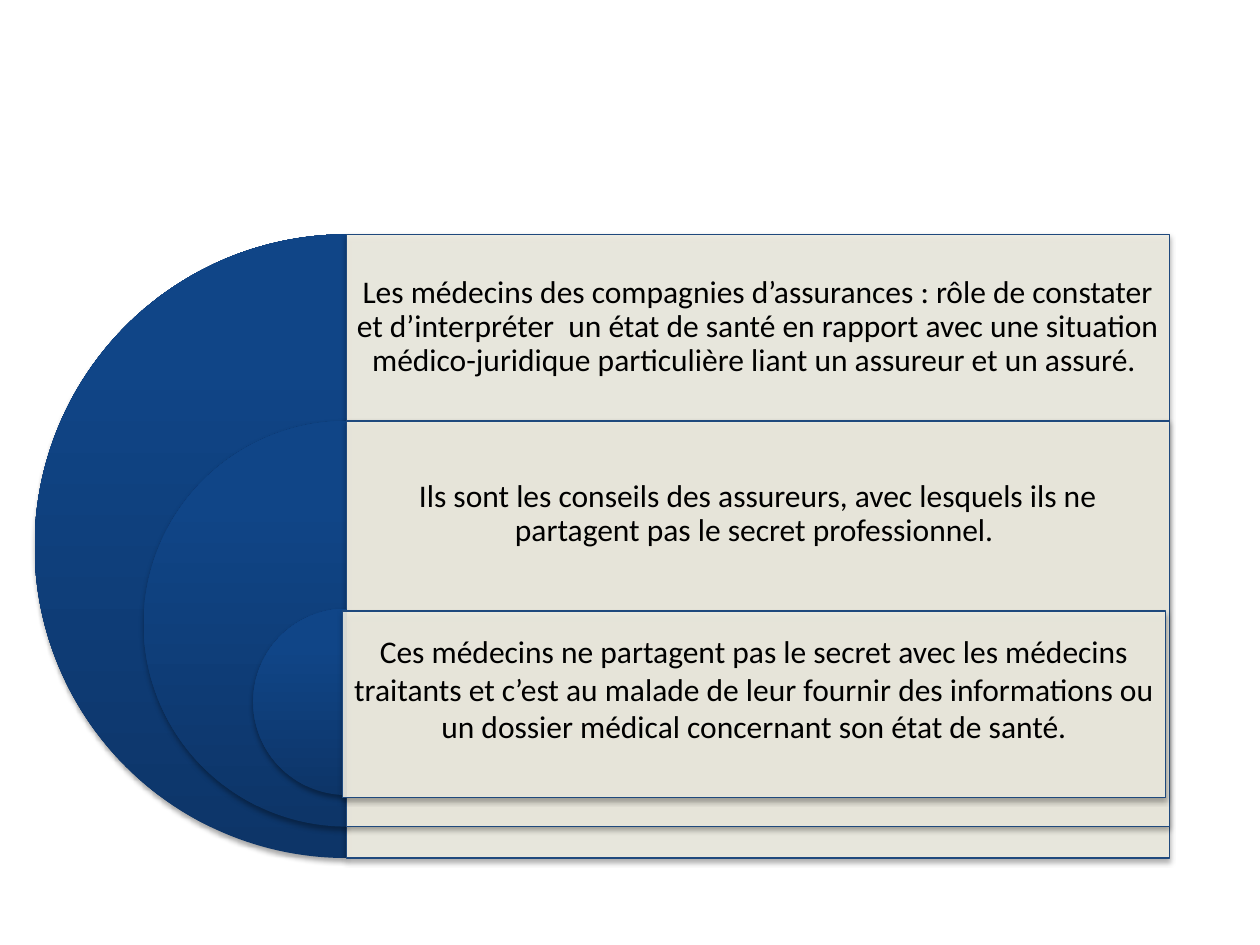
from copy import deepcopy

from lxml.etree import SubElement
from pptx import Presentation
from pptx.dml.color import RGBColor
from pptx.enum.shapes import MSO_SHAPE as SHAPE
from pptx.enum.text import MSO_ANCHOR as ANCHOR, PP_ALIGN as ALIGN
from pptx.oxml.ns import qn
from pptx.util import Inches, Pt


def color(value):
    return RGBColor.from_string(value)


def add_shadow(shape):
    shape.shadow.inherit = False
    effects = shape.element.spPr.find(qn("a:effectLst"))
    shadow = SubElement(effects, qn("a:outerShdw"), blurRad=str(Pt(3.1)),
                        dist=str(Pt(1.8)), dir="5400000", rotWithShape="0")
    black = SubElement(shadow, qn("a:srgbClr"), val="000000")
    SubElement(black, qn("a:alpha"), val="35000")


deck = Presentation()
deck.slide_width, deck.slide_height = Inches(10), Inches(7.5)
page = deck.slides.add_slide(deck.slide_layouts[6])

GRADIENT = [(0, "0D3568"), (0.8, "104587"), (1, "0E458A")]
CENTER_X, PANEL_WIDTH, ROW_HEIGHT = 2.75, 6.53, 1.48
LEVELS = [
    dict(top=1.86, size=4.95, panel_left=2.75, panel_top=1.86, bottom_inset=0.07, spacing=0.9,
         text="Les médecins des compagnies d’assurances : rôle de constater et d’interpréter  "
              "un état de santé en rapport avec une situation médico-juridique particulière "
              "liant un assureur et un assuré. "),
    dict(top=3.34, size=3.22, panel_left=2.75, panel_top=3.34, bottom_inset=0.07, spacing=0.9,
         text="Ils sont les conseils des assureurs, avec lesquels ils ne partagent pas "
              "le secret professionnel. "),
    dict(top=4.83, size=1.48, panel_left=2.72, panel_top=4.85, bottom_inset=0.32, spacing=1.0,
         text="Ces médecins ne partagent pas le secret avec les médecins traitants et c’est "
              "au malade de leur fournir des informations ou un dossier médical concernant "
              "son état de santé."),
]

for level in LEVELS:
    size = level["size"]
    half_disc = page.shapes.add_shape(SHAPE.PIE, Inches(CENTER_X - size / 2),
                                      Inches(level["top"]), Inches(size), Inches(size))
    half_disc.adjustments[0], half_disc.adjustments[1] = 54, 162
    half_disc.fill.gradient()
    half_disc.fill.gradient_angle = 90
    stop_list = half_disc.element.spPr.find(qn("a:gradFill")).find(qn("a:gsLst"))
    stop_list.append(deepcopy(stop_list[-1]))
    for stop, (position, value) in zip(half_disc.fill.gradient_stops, GRADIENT):
        stop.position = position
        stop.color.rgb = color(value)
    half_disc.line.fill.background()
    add_shadow(half_disc)

    left, top = Inches(level["panel_left"]), Inches(level["panel_top"])
    panel = page.shapes.add_shape(SHAPE.RECTANGLE, left, top, Inches(PANEL_WIDTH), Inches(size))
    panel.fill.solid()
    panel.fill.fore_color.rgb = color("EEECE1")
    solid = panel.element.spPr.find(qn("a:solidFill"))
    SubElement(solid[0], qn("a:alpha"), val="90000")
    panel.line.color.rgb = color("1F497D")
    panel.line.width = Pt(0.75)
    add_shadow(panel)

    box = page.shapes.add_textbox(left, top, Inches(PANEL_WIDTH), Inches(ROW_HEIGHT))
    frame_format = dict(word_wrap=True, vertical_anchor=ANCHOR.MIDDLE,
                        margin_left=Inches(0.07), margin_right=Inches(0.07),
                        margin_top=Inches(0.07), margin_bottom=Inches(level["bottom_inset"]))
    for name, value in frame_format.items():
        setattr(box.text_frame, name, value)
    para = box.text_frame.paragraphs[0]
    para.alignment = ALIGN.CENTER
    para.line_spacing = level["spacing"]
    span = para.add_run()
    span.text = level["text"]
    for name, value in dict(name="Calibri", size=Pt(18)).items():
        setattr(span.font, name, value)
    span.font.color.rgb = color("000000")

deck.save("out.pptx")
